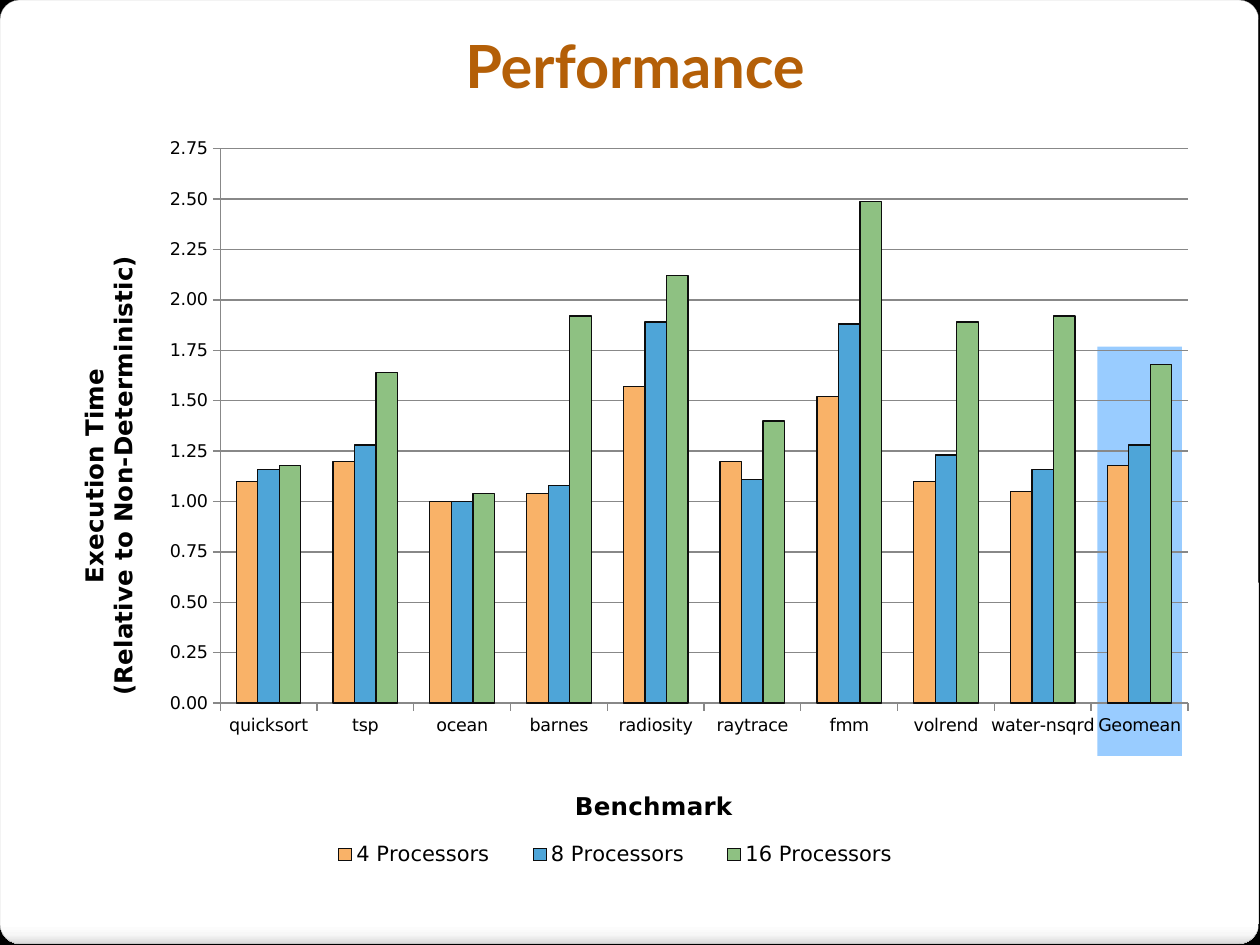
"""Build the benchmark performance slide with its clustered column chart."""
from lxml import etree
from pptx import Presentation, util as u
from pptx.chart.data import CategoryChartData
from pptx.dml.color import RGBColor
from pptx.enum import chart as ch, shapes, text
from pptx.oxml import parse_xml
from pptx.oxml.ns import nsdecls, qn

COLORS = {
    "backdrop": "000000", "panel_edge": "A4A4A4", "highlight": "99CCFF",
    "title": "B45F07", "label": "000000", "grid": "888888", "bar_edge": "0D0D0D",
}
PANEL_STOPS = [(0, "FFFFFF"), (98, "FFFFFF"), (99, "F7F7F7"), (100, "DADADA")]
BENCHMARKS = ["quicksort", "tsp", "ocean", "barnes", "radiosity",
              "raytrace", "fmm", "volrend", "water-nsqrd", "Geomean"]
TIMES = [
    ("4 Processors", "F9B268", [1.1, 1.2, 1, 1.04, 1.57, 1.2, 1.52, 1.1, 1.05, 1.18]),
    ("8 Processors", "4EA5D8", [1.16, 1.28, 1, 1.08, 1.89, 1.11, 1.88, 1.23, 1.16, 1.28]),
    ("16 Processors", "8EC182", [1.18, 1.64, 1.04, 1.92, 2.12, 1.4, 2.49, 1.89, 1.92, 1.68]),
]


def rgb(name):
    return RGBColor.from_string(COLORS[name])


def inches(box):
    return [u.Inches(length) for length in box]


def style_font(font, face, size, color, bold=False):
    font.name, font.size, font.bold = face, u.Pt(size), bold
    font.color.rgb = rgb(color)


def add_panel(slide, box):
    panel = slide.shapes.add_shape(shapes.MSO_SHAPE.ROUNDED_RECTANGLE, *inches(box))
    panel.adjustments[0] = 0.021
    panel.shadow.inherit = False
    panel.line.color.rgb = rgb("panel_edge")
    panel.line.width = u.Pt(0.16)
    panel.fill.gradient()
    panel.fill.gradient_angle = 270
    stops = panel.fill._fill._gradFill.find(qn("a:gsLst"))
    for stop in list(stops):
        stops.remove(stop)
    for percent, color in PANEL_STOPS:
        stop = etree.SubElement(stops, qn("a:gs"), pos=str(percent * 1000))
        etree.SubElement(stop, qn("a:srgbClr"), val=color)


def add_highlight(slide, box):
    highlight = slide.shapes.add_shape(shapes.MSO_SHAPE.RECTANGLE, *inches(box))
    highlight.shadow.inherit = False
    highlight.fill.solid()
    highlight.fill.fore_color.rgb = rgb("highlight")
    highlight.line.fill.background()


def add_title(slide, box):
    frame = slide.shapes.add_textbox(*inches(box)).text_frame
    frame.word_wrap = True
    frame.vertical_anchor = text.MSO_ANCHOR.MIDDLE
    frame.text = "Performance"
    heading = frame.paragraphs[0]
    heading.alignment = text.PP_ALIGN.CENTER
    style_font(heading.runs[0].font, "Lato", 34, "title", True)


def place(part, successors, x, y, w=None, h=None, inner=False):
    """Give a chart part a manual layout in fractions of the chart."""
    for old in part.findall(qn("c:layout")):
        part.remove(old)
    fields = [("layoutTarget", "inner")] if inner else []
    fields += [("xMode", "edge"), ("yMode", "edge"), ("x", x), ("y", y)]
    if w is not None:
        fields += [("w", w), ("h", h)]
    body = "".join(f'<c:{tag} val="{value}"/>' for tag, value in fields)
    layout = parse_xml(f'<c:layout {nsdecls("c")}><c:manualLayout>{body}'
                       "</c:manualLayout></c:layout>")
    part.insert_element_before(layout, *successors)


def style_axis(axis, title, x, y):
    axis.major_tick_mark = ch.XL_TICK_MARK.OUTSIDE
    axis.minor_tick_mark = ch.XL_TICK_MARK.NONE
    axis.format.line.color.rgb = rgb("grid")
    style_font(axis.tick_labels.font, "DejaVu Sans", 10, "label")
    frame = axis.axis_title.text_frame
    frame.text = title
    for line in frame.paragraphs:
        for run in line.runs:
            style_font(run.font, "DejaVu Sans", 14, "label", True)
    place(axis.axis_title._element, ("c:overlay", "c:spPr", "c:txPr"), x, y)


def add_times_chart(slide, box):
    times = CategoryChartData(number_format="0.00")
    times.categories = BENCHMARKS
    for name, _, values in TIMES:
        times.add_series(name, values)
    chart = slide.shapes.add_chart(
        ch.XL_CHART_TYPE.COLUMN_CLUSTERED, *inches(box), times).chart
    chart.has_title = False
    style_font(chart.font, "DejaVu Sans", 10, "label")

    plot = chart.plots[0]
    plot.vary_by_categories = False
    plot.gap_width, plot.overlap = 150, 0
    for bars, (_, color, _) in zip(plot.series, TIMES):
        bars.format.fill.solid()
        bars.format.fill.fore_color.rgb = RGBColor.from_string(color)
        bars.format.line.color.rgb = rgb("bar_edge")
        bars.format.line.width = u.Pt(0.75)
    plot_area = chart._chartSpace.chart.plotArea
    place(plot_area, ("c:barChart",), 0.151, 0.069, 0.818, 0.704, inner=True)

    style_axis(chart.category_axis, "Benchmark", 0.447, 0.876)
    scale = chart.value_axis
    style_axis(scale, "Execution Time\n(Relative to Non-Deterministic)", 0.027, 0.2)
    scale.minimum_scale, scale.maximum_scale, scale.major_unit = 0, 2.75, 0.25
    scale.tick_labels.number_format = "0.00"
    scale.tick_labels.number_format_is_linked = False
    scale.major_gridlines.format.line.color.rgb = rgb("grid")

    chart.has_legend = True
    legend = chart.legend
    legend.position = ch.XL_LEGEND_POSITION.RIGHT
    legend.include_in_layout = False
    style_font(legend.font, "DejaVu Sans", 12, "label")
    place(legend._element, ("c:overlay", "c:spPr", "c:txPr"), 0.22, 0.94, 0.53, 0.05)


def main():
    deck = Presentation()
    deck.slide_width, deck.slide_height = u.Inches(10), u.Inches(7.5)
    slide = deck.slides.add_slide(deck.slide_layouts[6])
    slide.background.fill.solid()
    slide.background.fill.fore_color.rgb = rgb("backdrop")
    add_panel(slide, (0, 0, 9.99, 7.49))
    add_highlight(slide, (8.71, 2.75, 0.67, 3.25))
    add_title(slide, (0.25, 0.1, 9.58, 0.83))
    add_times_chart(slide, (0.33, 0.75, 9.39, 6.25))
    deck.save("out.pptx")


if __name__ == "__main__":
    main()
